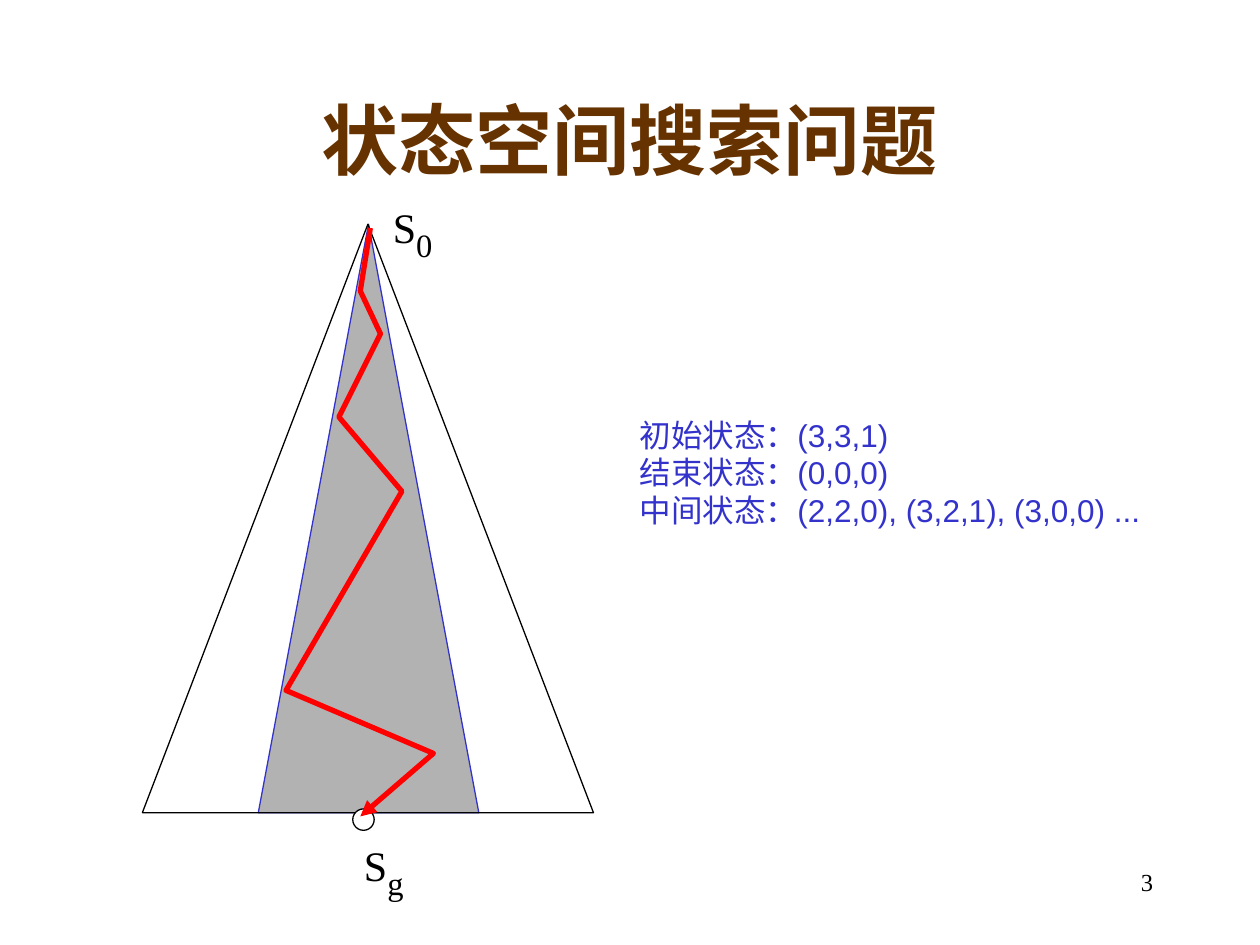
import pptx
import pptx.util
import pptx.dml.color
import pptx.enum.shapes
import pptx.enum.text
import lxml.etree

PX = 9144
COLORS = {"black": "000000", "white": "FFFFFF", "brown": "663300",
          "blue": "3333CC", "gray": "B2B2B2", "red": "FF0000"}
SHAPES = pptx.enum.shapes.MSO_SHAPE
ALIGN = pptx.enum.text.PP_ALIGN
ANCHOR = pptx.enum.text.MSO_ANCHOR

deck = pptx.Presentation()
deck.slide_width = 1000 * PX
deck.slide_height = 750 * PX
page = deck.slides.add_slide(deck.slide_layouts[6])


def add_text(place, lines, font, color, align, anchor=ANCHOR.TOP, wrap=True, bold=False):
    box = page.shapes.add_textbox(*[length * PX for length in place])
    frame = box.text_frame
    frame.word_wrap = wrap
    frame.vertical_anchor = anchor
    if not wrap:
        frame.margin_left = frame.margin_right = 0
    for number, line in enumerate(lines):
        para = frame.paragraphs[0] if number == 0 else frame.add_paragraph()
        para.alignment = align
        for text, size, baseline in line:
            span = para.add_run()
            span.text = text
            span.font.name = font
            span.font.size = pptx.util.Pt(size)
            span.font.bold = bold
            span.font.color.rgb = pptx.dml.color.RGBColor.from_string(COLORS[color])
            if baseline:
                span.font._element.set("baseline", str(baseline))


def style(shape, fill, line, width):
    shape.shadow.inherit = False
    if fill:
        shape.fill.solid()
        shape.fill.fore_color.rgb = pptx.dml.color.RGBColor.from_string(COLORS[fill])
    else:
        shape.fill.background()
    shape.line.color.rgb = pptx.dml.color.RGBColor.from_string(COLORS[line])
    shape.line.width = pptx.util.Pt(width)


add_text((717, 683, 208, 50), [[("3", 14, 0)]], "Times New Roman", "black", ALIGN.RIGHT)
add_text((75, 56, 850, 108), [[("状态空间搜索问题", 44, 0)]], "Times New Roman", "brown",
         ALIGN.CENTER, ANCHOR.MIDDLE, bold=True)

for kind, place, fill, line in [
    (SHAPES.ISOSCELES_TRIANGLE, (205, 178, 175, 467), "gray", "blue"),
    (SHAPES.ISOSCELES_TRIANGLE, (113, 178, 358, 467), None, "black"),
    (SHAPES.OVAL, (280, 642, 17, 17), "white", "black"),
]:
    shape = page.shapes.add_shape(kind, *[length * PX for length in place])
    style(shape, fill, line, 0.75)

for left, top, index in [(302, 144, "0"), (279, 650, "g")]:
    add_text((left, top, 51, 71), [[("S", 24, 0), (index, 32, -25000)]],
             "Times New Roman", "black", ALIGN.CENTER, ANCHOR.MIDDLE, wrap=False)

route = [(294, 181), (286, 231), (302, 265), (269, 331),
         (319, 390), (227, 548), (344, 598), (286, 648)]
builder = page.shapes.build_freeform(*route[0], scale=PX)
builder.add_line_segments(route[1:], close=False)
search_path = builder.convert_to_shape()
style(search_path, None, "red", 3)
outline = search_path.line._get_or_add_ln()
lxml.etree.SubElement(outline, pptx.oxml.ns.qn("a:round"))
lxml.etree.SubElement(outline, pptx.oxml.ns.qn("a:tailEnd"), type="triangle")

states = ["初始状态：(3,3,1)", "结束状态：(0,0,0)", "中间状态：(2,2,0), (3,2,1), (3,0,0) ..."]
add_text((498, 325, 427, 100), [[(state, 18, 0)] for state in states],
         "Arial", "blue", ALIGN.LEFT)

deck.save("out.pptx")
